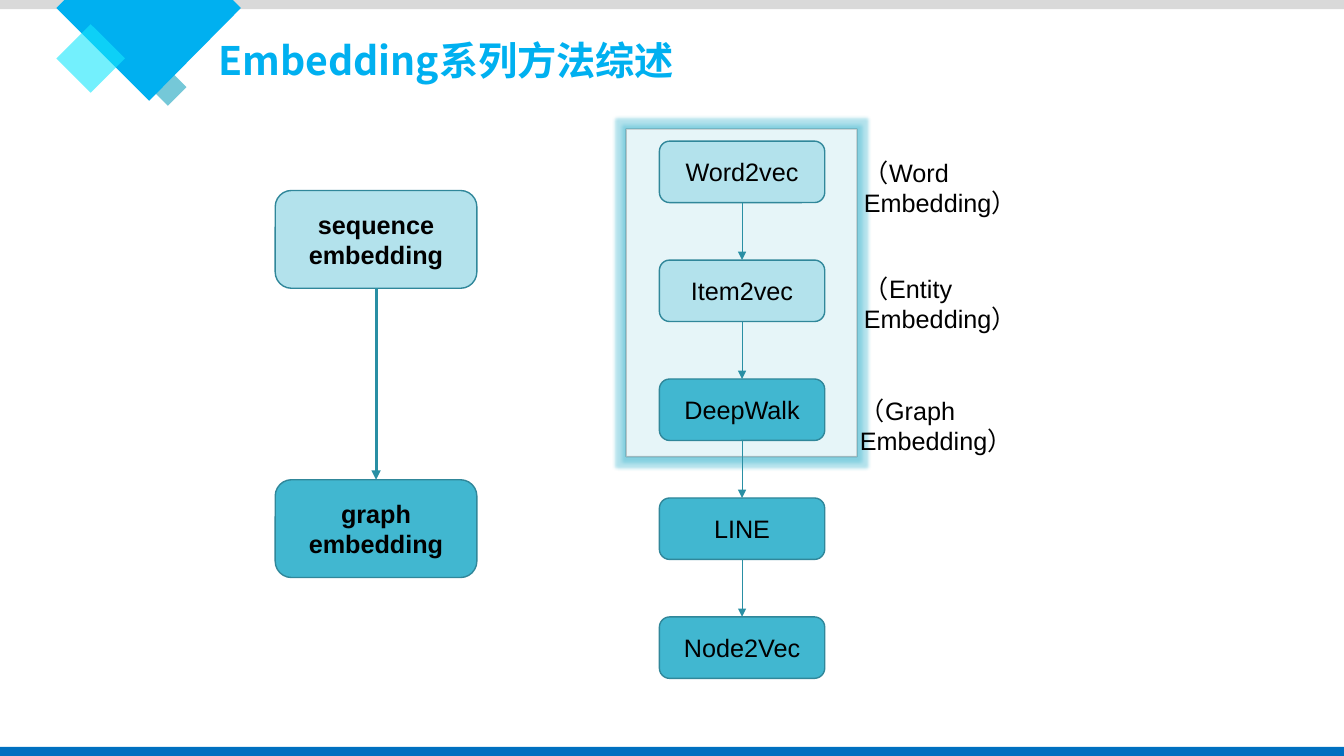
"""Build a slide that outlines the family of embedding methods."""
import pptx
import pptx.util
import pptx.dml.color
import pptx.enum.shapes
import pptx.enum.text
import pptx.oxml
import pptx.oxml.ns

Inches = pptx.util.Inches
Kind = pptx.enum.shapes.MSO_SHAPE
Align = pptx.enum.text.PP_ALIGN
qn = pptx.oxml.ns.qn
NS = pptx.oxml.ns.nsdecls("a")


def paint(fmt, color, alpha=100):
    fmt.solid()
    fmt.fore_color.rgb = pptx.dml.color.RGBColor.from_string(color)
    if alpha < 100:
        tint = fmt._xPr.find(qn("a:solidFill"))[0]
        tint.append(pptx.oxml.parse_xml(f'<a:alpha {NS} val="{alpha * 1000}"/>'))


def write(shape, text, size, font, color, bold=False, align=Align.LEFT):
    frame = shape.text_frame
    frame.word_wrap = True
    frame.text = text
    para = frame.paragraphs[0]
    para.alignment = align
    run = para.runs[0]
    run.font.size = pptx.util.Pt(size)
    run.font.bold = bold
    run.font.name = font
    paint(run.font.fill, color)
    run._r.get_or_add_rPr().append(
        pptx.oxml.parse_xml(f'<a:ea {NS} typeface="Noto Sans CJK SC"/>'))


deck = pptx.Presentation()
deck.slide_width = Inches(13.33)
deck.slide_height = Inches(7.5)
slide = deck.slides.add_slide(deck.slide_layouts[6])
shapes = slide.shapes

pale, deep, edge, arrow = "B3E2EC", "41B7D0", "30879A", "298FA4"

decor = [
    (Kind.DIAMOND, 1.48, 0.68, 0.37, 0.37, "1AA4BE", 60),
    (Kind.RECTANGLE, 0, 0, 13.33, 0.09, "D9D9D9", 100),
    (None, 0, 0, 0, 0, "00B0F0", 100),
    (Kind.DIAMOND, 0.56, 0.24, 0.68, 0.68, "16E6FC", 60),
    (Kind.RECTANGLE, 0, 7.41, 13.33, 0.09, "0070C0", 100),
]
for kind, left, top, width, height, color, alpha in decor:
    if kind is None:
        outline = shapes.build_freeform(Inches(0.64), 0)
        corners = [(2.31, 0), (2.39, 0.08), (1.48, 1), (0.56, 0.08)]
        outline.add_line_segments([(Inches(x), Inches(y)) for x, y in corners])
        part = outline.convert_to_shape()
    else:
        part = shapes.add_shape(
            kind, Inches(left), Inches(top), Inches(width), Inches(height))
    part.shadow.inherit = False
    paint(part.fill, color, alpha)
    part.line.fill.background()

group = shapes.add_shape(
    Kind.RECTANGLE, Inches(6.21), Inches(1.28), Inches(2.29), Inches(3.25))
group.shadow.inherit = False
paint(group.fill, "FFFFFF", 80)
group.line.width = pptx.util.Pt(1)
paint(group.line.fill, "000000", 20)
group._element.spPr.find(qn("a:effectLst")).append(pptx.oxml.parse_xml(
    f'<a:glow {NS} rad="63500"><a:srgbClr val="{deep}">'
    '<a:alpha val="40000"/></a:srgbClr></a:glow>'))

title = shapes.add_textbox(Inches(2.07), Inches(0.31), Inches(6.76), Inches(0.57))
write(title, "Embedding系列方法综述", 28, "Noto Sans CJK SC", "00B0F0", True)

chains = [
    (2.73, 1.89, 2, 0.97, 2.87, 2.25, True,
     [("sequence embedding", pale), ("graph embedding", deep)]),
    (6.54, 1.4, 1.64, 0.61, 1.18, 0.5, False,
     [("Word2vec", pale), ("Item2vec", pale), ("DeepWalk", deep),
      ("LINE", deep), ("Node2Vec", deep)]),
]
for left, start, width, height, step, weight, bold, nodes in chains:
    for index, (name, color) in enumerate(nodes):
        top = start + index * step
        node = shapes.add_shape(
            Kind.ROUNDED_RECTANGLE,
            Inches(left), Inches(top), Inches(width), Inches(height))
        node.shadow.inherit = False
        paint(node.fill, color)
        paint(node.line.fill, edge)
        node.line.width = pptx.util.Pt(1)
        node.text_frame.vertical_anchor = pptx.enum.text.MSO_ANCHOR.MIDDLE
        write(node, name, 18, "Arial", "000000", bold, Align.CENTER)
        if index:
            mid = Inches(left + width / 2)
            link = shapes.add_connector(
                pptx.enum.shapes.MSO_CONNECTOR.STRAIGHT,
                mid, Inches(top - step + height), mid, Inches(top))
            paint(link.line.fill, arrow)
            link.line.width = pptx.util.Pt(weight)
            link.line._get_or_add_ln().append(
                pptx.oxml.parse_xml(f'<a:tailEnd {NS} type="triangle"/>'))
            link._element.spPr.append(pptx.oxml.parse_xml(f"<a:effectLst {NS}/>"))

notes = [
    ("（Word Embedding）", 8.47, 1.51, 2.42),
    ("（Entity Embedding）", 8.47, 2.66, 2.42),
    ("（Graph Embedding）", 8.43, 3.87, 2.65),
]
for text, left, top, width in notes:
    note = shapes.add_textbox(Inches(left), Inches(top), Inches(width), Inches(0.4))
    write(note, text, 18, "Arial", "000000")

deck.save("out.pptx")
